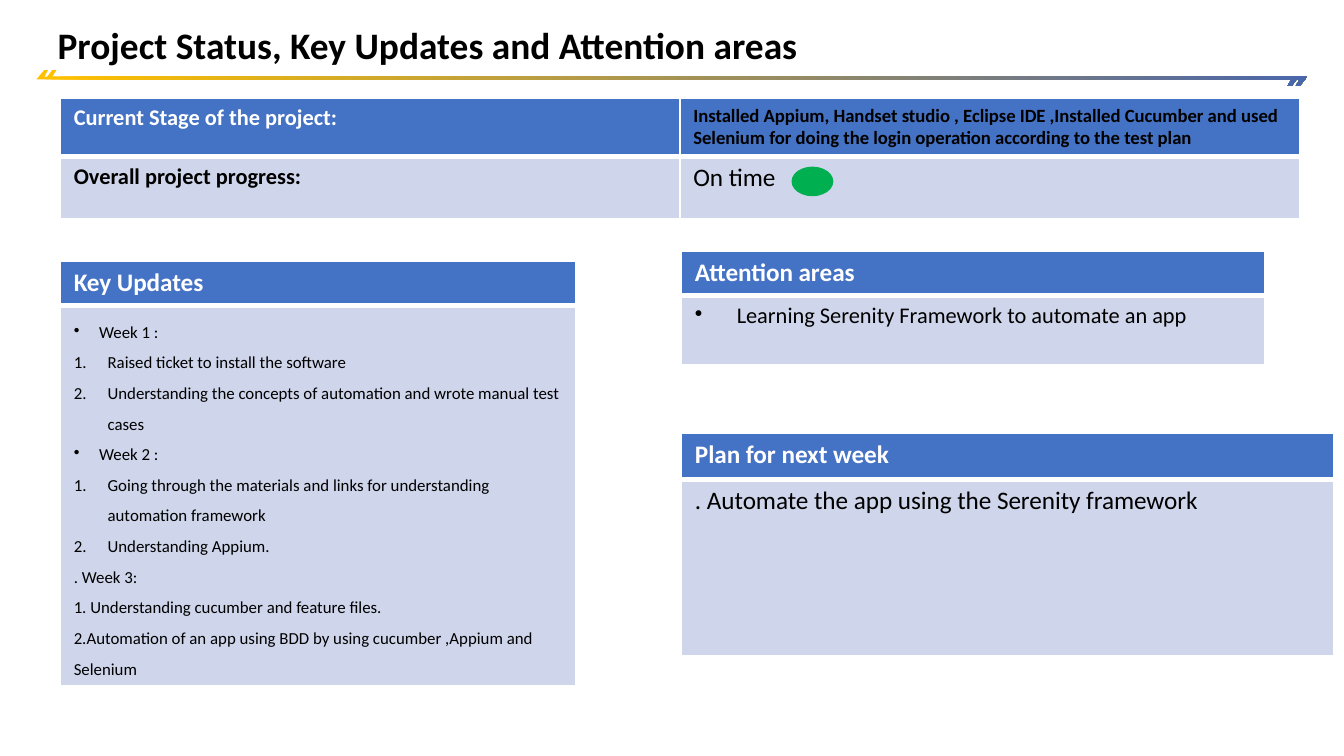
"""Build a project status slide with four tables for progress, updates, attention areas and plan."""
import dataclasses

import lxml.etree
import pptx
import pptx.dml.color
import pptx.enum.shapes
import pptx.enum.text
import pptx.oxml.ns
import pptx.util

Cm = pptx.util.Cm
Pt = pptx.util.Pt
qn = pptx.oxml.ns.qn


@dataclasses.dataclass(frozen=True)
class Theme:
    font: str = "Calibri"
    black: str = "000000"
    white: str = "FFFFFF"
    header: str = "4472C4"
    body: str = "CFD5EA"
    on_time: str = "00B050"
    rule_start: str = "FFC000"
    rule_end: str = "4A66AC"
    title: float = 20
    heading: float = 13.5
    label: float = 12
    stage: float = 10
    update: float = 9


theme = Theme()
FORMATS = {
    "title": {"size": Pt(theme.title), "bold": True},
    "heading": {"size": Pt(theme.heading), "bold": True},
    "label": {"size": Pt(theme.label), "bold": True},
    "stage": {"size": Pt(theme.stage), "bold": True},
    "status": {"size": Pt(theme.heading), "bold": False},
    "attention": {"size": Pt(theme.label), "bold": False},
    "update": {"size": Pt(theme.update), "bold": False},
}
BULLET = ("buChar", {"char": "•"})
NUMBER = ("buAutoNum", {"type": "arabicPeriod"})
LISTS = {"week": (0.48, BULLET), "step": (0.64, NUMBER), "area": (0.79, BULLET)}


def rgb(value):
    return pptx.dml.color.RGBColor.from_string(value)


def write(frame, style, color, lines, spacing=None):
    for index, (kind, text) in enumerate(lines):
        paragraph = frame.paragraphs[0] if index == 0 else frame.add_paragraph()
        if kind in LISTS:
            indent, (tag, attributes) = LISTS[kind]
            properties = paragraph._p.get_or_add_pPr()
            properties.set("marL", str(Cm(indent)))
            properties.set("indent", str(-Cm(indent)))
            lxml.etree.SubElement(properties, qn(f"a:{tag}"), attributes)
        if spacing:
            paragraph.line_spacing = spacing
        run = paragraph.add_run()
        run.text = text
        for name, value in {"name": theme.font, **FORMATS[style]}.items():
            setattr(run.font, name, value)
        run.font.color.rgb = rgb(color)


presentation = pptx.Presentation()
presentation.slide_width, presentation.slide_height = Cm(25.4), Cm(14.29)
slide = presentation.slides.add_slide(presentation.slide_layouts[6])

rule_points = [(0.84, 1.32), (0.91, 1.32), (0.84, 1.45), (24.54, 1.45),
               (24.41, 1.63), (24.33, 1.63), (24.41, 1.5), (0.69, 1.5)]
mirrored_points = [(25.4 - x, 2.95 - y) for x, y in rule_points]
for points in (rule_points, mirrored_points):
    corners = [(Cm(x), Cm(y)) for x, y in points]
    builder = slide.shapes.build_freeform(*corners[0])
    builder.add_line_segments(corners[1:], close=True)
    title_rule = builder.convert_to_shape()
    title_rule.shadow.inherit = False
    title_rule.line.fill.background()
    title_rule.fill.gradient()
    title_rule.fill.gradient_angle = 0
    for stop, color in zip(title_rule.fill.gradient_stops, (theme.rule_start, theme.rule_end)):
        stop.color.rgb = rgb(color)

title = slide.shapes.add_textbox(Cm(0.84), Cm(0), Cm(23.7), Cm(1.4)).text_frame
title.word_wrap = True
title.vertical_anchor = pptx.enum.text.MSO_ANCHOR.BOTTOM
write(title, "title", theme.black, [("", "Project Status, Key Updates and Attention areas")], 0.9)

updates = [
    ("week", "Week 1 :"),
    ("step", "Raised ticket to install the software"),
    ("step", "Understanding the concepts of automation and wrote manual test cases"),
    ("week", "Week 2 :"),
    ("step", "Going through the materials and links for understanding automation framework"),
    ("step", "Understanding Appium."),
    ("", ". Week 3:"),
    ("", "1. Understanding cucumber and feature files."),
    ("", "2.Automation of an app using BDD by using cucumber ,Appium and Selenium"),
]
stage = ("Installed Appium, Handset studio , Eclipse IDE ,Installed Cucumber and used "
         "Selenium for doing the login operation according to the test plan")
tables = [
    (1.14, 1.85, 11.71, (1.09, 1.19), [
        [("label", theme.white, [("", "Current Stage of the project:")]),
         ("stage", theme.black, [("", stage)])],
        [("label", theme.black, [("", "Overall project progress:")]),
         ("status", theme.black, [("", "On time")])]]),
    (1.14, 4.93, 9.75, (0.84, 7.2), [
        [("heading", theme.white, [("", "Key Updates")])],
        [("update", theme.black, updates)]]),
    (12.88, 4.75, 11.02, (0.84, 1.3), [
        [("heading", theme.white, [("", "Attention areas")])],
        [("attention", theme.black,
          [("area", "Learning Serenity Framework to automate an app")])]]),
    (12.88, 8.18, 12.32, (0.88, 3.33), [
        [("heading", theme.white, [("", "Plan for next week")])],
        [("status", theme.black, [("", ". Automate the app using the Serenity framework")])]]),
]
row_looks = [
    (theme.header, {"lnL": 1, "lnR": 1, "lnT": 1, "lnB": 3}),
    (theme.body, {"lnL": 1, "lnR": 1, "lnT": 3, "lnB": 1}),
]
for left, top, column_width, heights, rows in tables:
    columns = len(rows[0])
    table = slide.shapes.add_table(
        len(rows), columns, Cm(left), Cm(top), Cm(column_width * columns), Cm(sum(heights))).table
    for row, height, contents, (fill, borders) in zip(table.rows, heights, rows, row_looks):
        row.height = Cm(height)
        for cell, (style, color, lines) in zip(row.cells, contents):
            properties = cell._tc.get_or_add_tcPr()
            for side, width in borders.items():
                border = lxml.etree.SubElement(properties, qn(f"a:{side}"), w=str(Pt(width)))
                solid = lxml.etree.SubElement(border, qn("a:solidFill"))
                lxml.etree.SubElement(solid, qn("a:srgbClr"), val=theme.white)
            cell.fill.solid()
            cell.fill.fore_color.rgb = rgb(fill)
            write(cell.text_frame, style, color, lines, 1.5 if style == "update" else None)

on_time = slide.shapes.add_shape(
    pptx.enum.shapes.MSO_SHAPE.OVAL, Cm(14.96), Cm(3.15), Cm(0.79), Cm(0.56))
on_time.shadow.inherit = False
on_time.fill.solid()
on_time.fill.fore_color.rgb = rgb(theme.on_time)
on_time.line.fill.background()

presentation.save("out.pptx")
